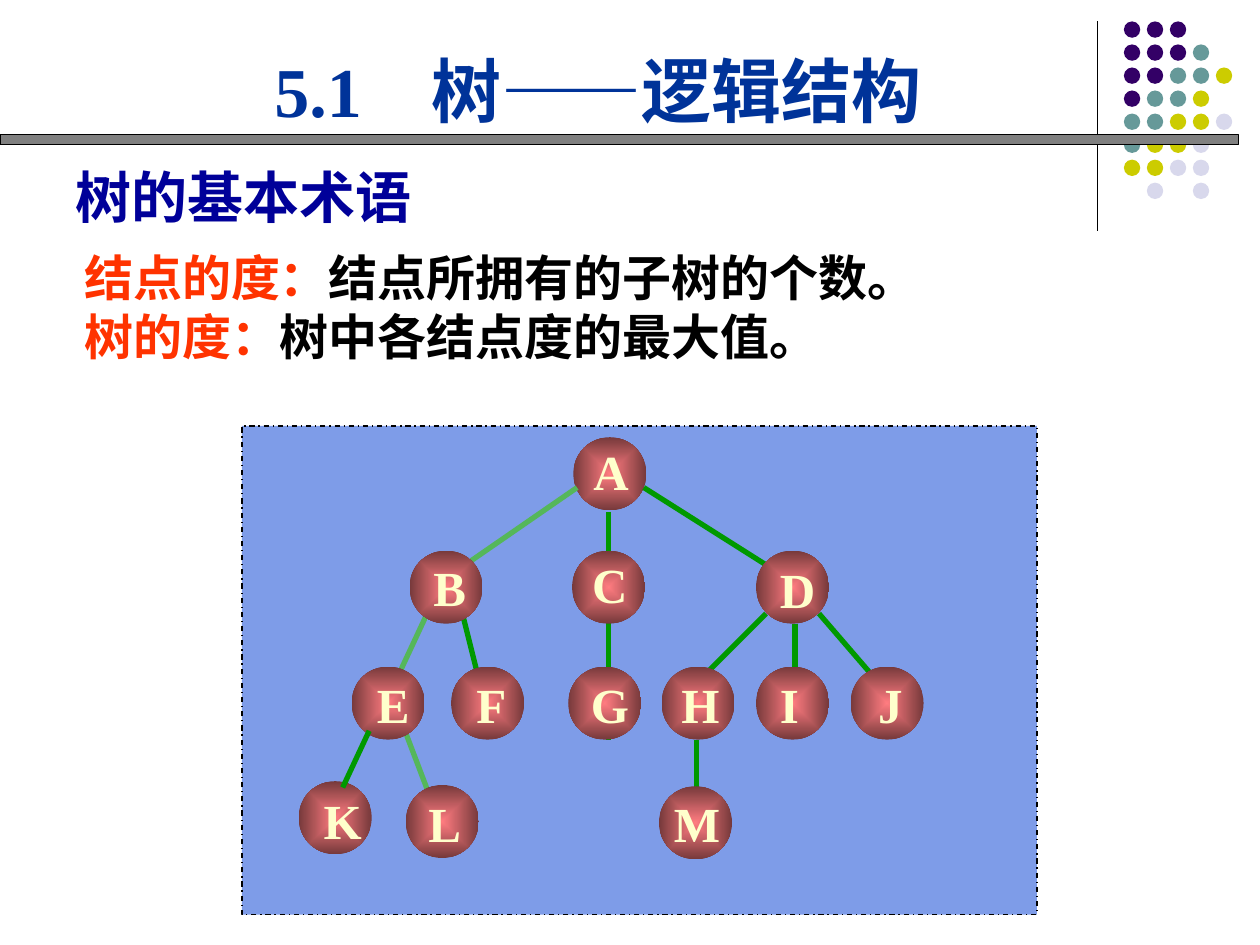
from lxml.etree import SubElement
from pptx import Presentation
from pptx.dml.color import RGBColor
from pptx.enum.dml import MSO_LINE as Dash
from pptx.enum.shapes import MSO_CONNECTOR as Conn, MSO_SHAPE as Kind
from pptx.enum.text import MSO_ANCHOR as Anchor, MSO_AUTO_SIZE as Fit, PP_ALIGN as Align
from pptx.oxml.ns import qn
from pptx.util import Inches, Pt

CJK = "Noto Sans CJK SC"
TIMES = "Times New Roman"
GREEN, PALE = "009900", "55B75A"
SIZE = 0.58

DOTS = ["PPP", "PPPT", "PPTTY", "PTTY", "TTYYL", "TYYL", "YYLL", " L L"]
TINTS = {"P": "330066", "T": "669999", "Y": "CCCC00", "L": "D8D8EC"}

ROOT = (4.55, 3.47)
NODES = {
    "B": (3.25, 4.37), "C": (4.54, 4.37), "D": (6, 4.37),
    "E": (2.79, 5.29), "F": (3.58, 5.29), "G": (4.51, 5.29),
    "H": (5.25, 5.29), "I": (6, 5.29), "J": (6.75, 5.29),
    "K": (2.37, 6.2), "L": (3.22, 6.23), "M": (5.23, 6.24),
}
LABELS = {
    "A": (4.61, 3.45, 0.48), "B": (3.34, 4.37, 0.46), "C": (4.6, 4.35, 0.48),
    "D": (6.09, 4.39, 0.48), "E": (2.89, 5.3, 0.46), "F": (3.68, 5.3, 0.44),
    "G": (4.59, 5.3, 0.5), "H": (5.31, 5.3, 0.5), "I": (6.09, 5.3, 0.35),
    "J": (6.87, 5.3, 0.39), "K": (2.47, 6.22, 0.5), "L": (3.3, 6.25, 0.46),
    "M": (5.25, 6.25, 0.56),
}
EDGES = [
    (6.5, 4.87, 7, 5.45, GREEN), (6.08, 4.87, 5.58, 5.37, GREEN),
    (6.31, 4.95, 6.31, 5.37, GREEN), (5.53, 5.87, 5.53, 6.37, GREEN),
    (5.11, 3.87, 6.17, 4.54, GREEN), (4.58, 3.87, 3.74, 4.45, PALE),
    (4.83, 4.06, 4.83, 5.87, GREEN), (3.67, 4.87, 3.82, 5.47, GREEN),
    (3.21, 5.79, 3.4, 6.29, PALE), (3.39, 4.87, 3.18, 5.32, PALE),
]


def rgb(code):
    return RGBColor.from_string(code)


class Deck:
    """Holds the style and the current slide, and draws each kind of element."""

    def __init__(self):
        self.prs = Presentation()
        self.prs.slide_width, self.prs.slide_height = Inches(10), Inches(7.5)
        self.slide = self.prs.slides.add_slide(self.prs.slide_layouts[6])
        self.pen = self.slide.shapes

    def group(self):
        self.pen = self.slide.shapes.add_group_shape().shapes

    def ungroup(self):
        self.pen = self.slide.shapes

    def shape(self, kind, x, y, w, h, fill, line=None):
        item = self.pen.add_shape(kind, *map(Inches, (x, y, w, h)))
        item.shadow.inherit = False
        item.fill.solid()
        item.fill.fore_color.rgb = rgb(fill)
        if line:
            item.line.color.rgb = rgb(line)
            item.line.width = Pt(0.75)
        else:
            item.line.fill.background()
        return item

    def node(self, x, y):
        ball = self.shape(Kind.OVAL, x, y, SIZE, SIZE, "FF7C80")
        ball.fill.gradient()
        for stop, code in zip(ball.fill.gradient_stops, ("FF7C80", "76393B")):
            stop.color.rgb = rgb(code)
        grad = ball._element.spPr.find(qn("a:gradFill"))
        grad.remove(grad.find(qn("a:lin")))
        way = SubElement(grad, qn("a:path"), {"path": "rect"})
        SubElement(way, qn("a:fillToRect"), dict.fromkeys("ltrb", "50000"))

    def line(self, x1, y1, x2, y2, color, width=3):
        item = self.pen.add_connector(Conn.STRAIGHT, *map(Inches, (x1, y1, x2, y2)))
        item.line.color.rgb = rgb(color)
        item.line.width = Pt(width)
        SubElement(item._element.spPr, qn("a:effectLst"))

    def text(self, x, y, w, h, lines, size, font, wrap=True, align=None):
        box = self.pen.add_textbox(*map(Inches, (x, y, w, h)))
        frame = box.text_frame
        frame.word_wrap = wrap
        frame.auto_size = Fit.SHAPE_TO_FIT_TEXT
        for i, parts in enumerate(lines):
            para = frame.add_paragraph() if i else frame.paragraphs[0]
            para.alignment = align
            for words, color in parts:
                run = para.add_run()
                run.text = words
                run.font.size, run.font.bold, run.font.name = Pt(size), True, font
                run.font.color.rgb = rgb(color)
                SubElement(run.font._element, qn("a:ea"), {"typeface": CJK})
        return frame

    def label(self, mark, x, y, w):
        frame = self.text(x, y, w, 0.57, [[(mark, "FFFFCC")]], 28, TIMES, False, Align.CENTER)
        frame.vertical_anchor = Anchor.MIDDLE

    def save(self):
        self.prs.save("out.pptx")


def main():
    deck = Deck()
    deck.line(8.71, 0.17, 8.71, 1.83, "000000", 0.75)
    deck.group()
    for row, marks in enumerate(DOTS):
        for col, mark in enumerate(marks):
            if mark in TINTS:
                x, y = 8.92 + 0.73 * col / 4, 0.17 + 1.28 * row / 7
                deck.shape(Kind.OVAL, x, y, 0.13, 0.13, TINTS[mark])
    deck.ungroup()
    deck.shape(Kind.RECTANGLE, 0, 1.07, 9.83, 0.08, "808080", "000000")

    deck.text(0.5, 1.24, 4.33, 0.64, [[("树的基本术语", "000099")]], 32, "Arial")
    terms = [
        [("结点的度：", "FF3300"), ("结点所拥有的子树的个数。", "000000")],
        [("树的度：", "FF3300"), ("树中各结点度的最大值。", "000000")],
    ]
    body = deck.text(0.57, 1.97, 8.58, 0.99, terms, 28, CJK)
    for para in body.paragraphs:
        para.line_spacing = 0.9
    body.paragraphs[1].space_before = Pt(3.5)
    title = [[("5.1　树——逻辑结构", "003399")]]
    deck.text(2.08, 0.33, 5.66, 0.77, title, 40, TIMES, align=Align.JUSTIFY)

    deck.group()
    panel = deck.shape(Kind.RECTANGLE, 1.92, 3.38, 6.31, 3.88, "7E9CE8", "000000")
    panel.line.dash_style = Dash.DASH_DOT
    deck.node(*ROOT)
    for edge in EDGES:
        deck.line(*edge)
    for spot in NODES.values():
        deck.node(*spot)
    for mark, place in LABELS.items():
        deck.label(mark, *place)
    deck.line(2.93, 5.8, 2.72, 6.25, GREEN)
    deck.save()


if __name__ == "__main__":
    main()
